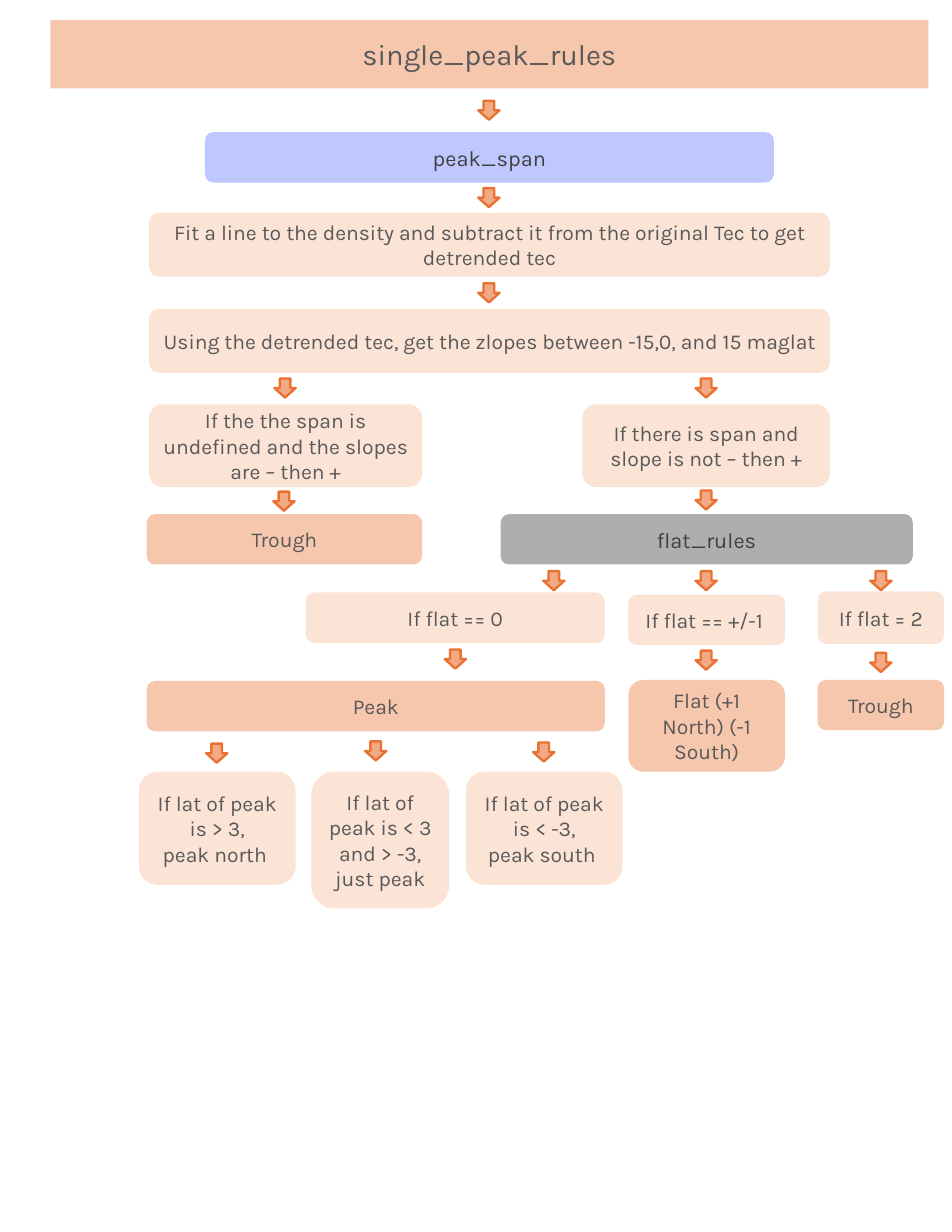
from dataclasses import dataclass
from lxml.etree import SubElement
from pptx import Presentation
from pptx.dml.color import RGBColor
from pptx.enum.shapes import MSO_SHAPE
from pptx.enum.text import MSO_ANCHOR, MSO_AUTO_SIZE, PP_ALIGN
from pptx.oxml.ns import qn
from pptx.util import Inches, Pt


@dataclass(frozen=True)
class Theme:
    font: str = "Karla"
    head: float = 18.7
    call: float = 14
    body: float = 13.6
    text: str = "595959"
    dark: str = "404040"
    step: str = "FBE3D6"
    end: str = "F6C6AD"
    span: str = "BFC7FF"
    flat: str = "AEAEAE"
    arrow: str = "F2AA84"
    edge: str = "E97132"


THEME = Theme()
ARROW_W, ARROW_H = 0.19, 0.17

# Boxes: text, left, top, width, height
STEPS = [
    ("Fit a line to the density and subtract it from the original Tec "
     "to get detrended tec", 1.33, 1.9, 6.08, 0.57),
    ("Using the detrended tec, get the zlopes between -15,0, and 15 maglat",
     1.33, 2.76, 6.08, 0.57),
    ("If the the span is undefined and the slopes are – then +",
     1.33, 3.61, 2.44, 0.74),
    ("If there is span and slope is not – then +", 5.2, 3.61, 2.21, 0.74),
    ("If flat == 0", 2.73, 5.29, 2.67, 0.45),
    ("If flat == +/-1 ", 5.61, 5.31, 1.4, 0.45),
    ("If flat = 2", 7.3, 5.28, 1.13, 0.47),
    ("If lat of peak is > 3,\npeak north ", 1.24, 6.89, 1.4, 1.01),
    ("If lat of peak is < 3 and > -3, just peak", 2.78, 6.89, 1.23, 1.22),
    ("If lat of peak is < -3,\npeak south ", 4.16, 6.89, 1.4, 1.01),
]
ENDS = [
    ("Trough", 1.31, 4.59, 2.46, 0.45),
    ("Peak", 1.31, 6.08, 4.09, 0.45),
    ("Flat (+1 North) (-1 South)", 5.61, 6.07, 1.4, 0.82),
    ("Trough", 7.3, 6.07, 1.13, 0.45),
]

# Arrows: left, top
ARROWS = [
    (4.27, 0.9), (4.27, 1.68), (4.27, 2.53),
    (2.45, 3.38), (6.21, 3.38),
    (2.44, 4.39), (6.21, 4.38),
    (4.85, 5.1), (6.21, 5.1), (7.77, 5.1),
    (3.97, 5.8), (6.21, 5.81), (7.77, 5.83),
    (1.84, 6.64), (3.26, 6.62), (4.76, 6.63),
]


def paint(shape, fill):
    shape.fill.solid()
    shape.fill.fore_color.rgb = RGBColor.from_string(fill)


def write(shape, text, size, color):
    frame = shape.text_frame
    frame.text = text
    frame.word_wrap = True
    frame.auto_size = MSO_AUTO_SIZE.NONE
    frame.vertical_anchor = MSO_ANCHOR.MIDDLE
    frame.margin_left = frame.margin_right = Inches(0.08)
    frame.margin_top = frame.margin_bottom = Inches(0.04)
    for para in frame.paragraphs:
        para.alignment = PP_ALIGN.CENTER
        for run in para.runs:
            run.font.name = THEME.font
            run.font.size = Pt(size)
            run.font.color.rgb = RGBColor.from_string(color)


def add_title(slide, text, left, top, width, height):
    title = slide.shapes.title
    title.left, title.top = Inches(left), Inches(top)
    title.width, title.height = Inches(width), Inches(height)
    # Give the title placeholder rounded corners
    geom = SubElement(title._element.spPr, qn("a:prstGeom"), prst="roundRect")
    SubElement(geom, qn("a:avLst"))
    paint(title, THEME.end)
    write(title, text, THEME.head, THEME.text)


def add_box(slide, text, left, top, width, height, fill,
            size=THEME.body, color=THEME.text):
    box = slide.shapes.add_shape(
        MSO_SHAPE.ROUNDED_RECTANGLE,
        Inches(left), Inches(top), Inches(width), Inches(height))
    box.shadow.inherit = False
    box.line.fill.background()
    paint(box, fill)
    write(box, text, size, color)


def add_arrow(slide, left, top):
    arrow = slide.shapes.add_shape(
        MSO_SHAPE.DOWN_ARROW,
        Inches(left), Inches(top), Inches(ARROW_W), Inches(ARROW_H))
    arrow.shadow.inherit = False
    paint(arrow, THEME.arrow)
    arrow.line.color.rgb = RGBColor.from_string(THEME.edge)
    arrow.line.width = Pt(1.5)


def main():
    deck = Presentation()
    deck.slide_width, deck.slide_height = Inches(8.5), Inches(11)
    slide = deck.slides.add_slide(deck.slide_layouts[5])

    # Title and the rules it calls
    add_title(slide, "single_peak_rules", 0.45, 0.18, 7.84, 0.61)
    add_box(slide, "peak_span", 1.83, 1.18, 5.08, 0.45,
            THEME.span, THEME.call, THEME.dark)
    add_box(slide, "flat_rules", 4.47, 4.59, 3.68, 0.45,
            THEME.flat, THEME.call, THEME.dark)

    # Steps and outcomes
    for step in STEPS:
        add_box(slide, *step, THEME.step)
    for end in ENDS:
        add_box(slide, *end, THEME.end)

    # Flow arrows
    for spot in ARROWS:
        add_arrow(slide, *spot)

    deck.save("out.pptx")


if __name__ == "__main__":
    main()
